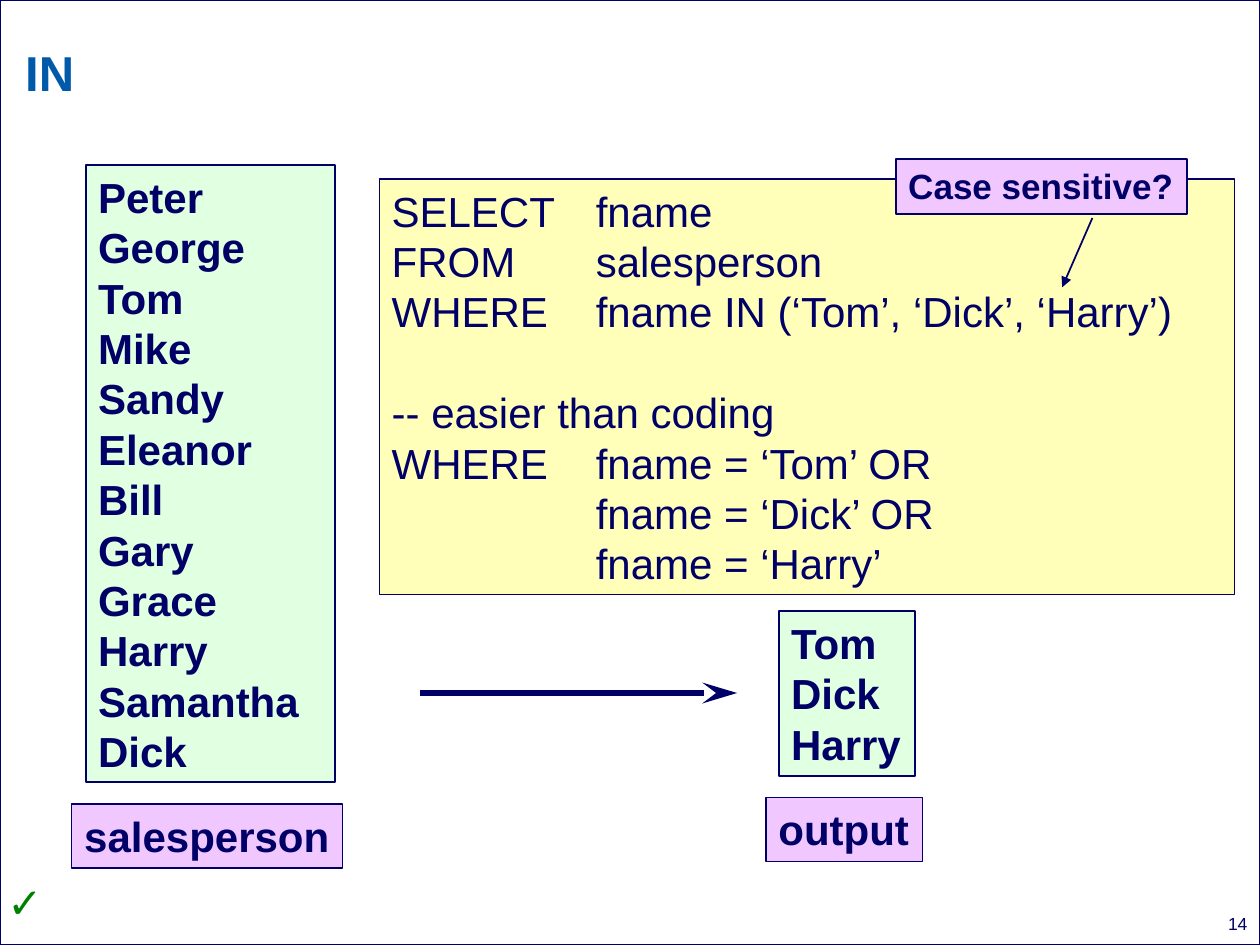
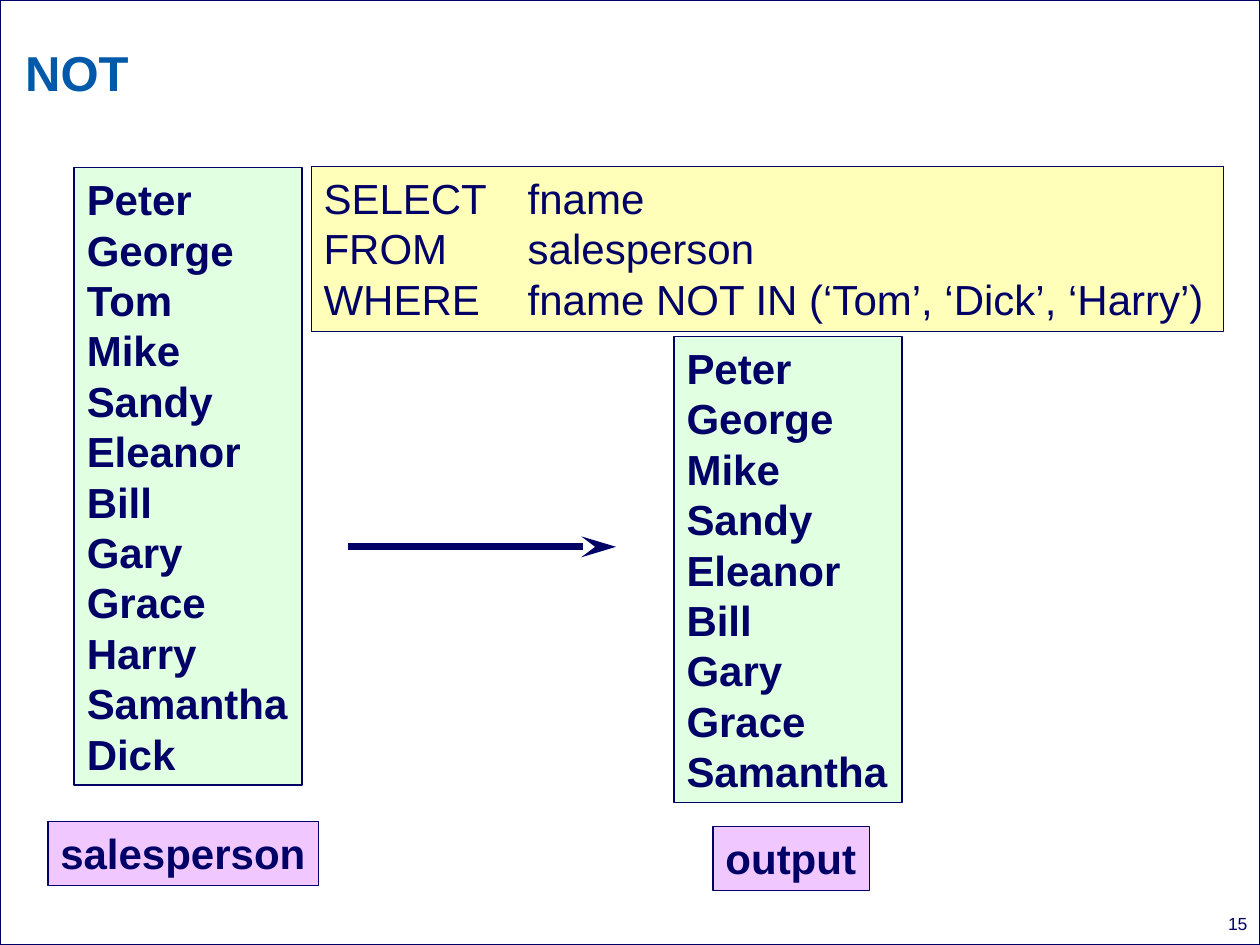
"""Two SQL slides that show filtering with IN and NOT IN."""
from dataclasses import dataclass

from pptx import Presentation
from pptx.dml.color import RGBColor
from pptx.enum.shapes import MSO_CONNECTOR as Connector, MSO_SHAPE as ShapeKind
from pptx.enum.text import MSO_ANCHOR as Anchor, PP_ALIGN as Align
from pptx.oxml.ns import qn
from pptx.util import Inches, Pt
from lxml.etree import SubElement

FONT = "Arial"
NAVY, TITLE_BLUE, TICK_GREEN = "000066", "005AA9", "008000"
LIST_GREEN, LABEL_PURPLE, QUERY_YELLOW = "E1FFE1", "F0C8FF", "FFFFB9"
TAB_STEP = 0.81
LINE_FACTOR = 1.2
NAMES = ["Peter", "George", "Tom", "Mike", "Sandy", "Eleanor",
         "Bill", "Gary", "Grace", "Harry", "Samantha", "Dick"]
CHOSEN = ["Tom", "Dick", "Harry"]
OTHERS = [name for name in NAMES if name not in CHOSEN]


@dataclass
class Box:
    """A bordered text box; gap_before is the line that has a line of space above it."""
    left: float
    top: float
    width: float
    height: float
    lines: list[str]
    fill: str | None
    border: float = 1
    size: int = 24
    bold: bool = True
    wrap: bool = False
    gap_before: int | None = None


@dataclass
class Arrow:
    """A straight arrow from start to end."""
    start: tuple[float, float]
    end: tuple[float, float]
    weight: float = 4
    head: str = "stealth"
    length: str = "lg"


@dataclass
class Page:
    """The content of one slide."""
    title: str
    number: int
    boxes: list[Box]
    arrows: list[Arrow]
    ticked: bool = False


def names_box(left: float, top: float, width: float, height: float,
              names: list[str], wrap: bool = False) -> Box:
    """Describe a green list of names."""
    return Box(left, top, width, height, names, LIST_GREEN, wrap=wrap)


def label_box(left: float, top: float, width: float, text: str) -> Box:
    """Describe a purple caption below a list."""
    return Box(left, top, width, 0.51, [text], LABEL_PURPLE, border=0.75)


def query_box(left: float, top: float, width: float, height: float,
              lines: list[str], **options) -> Box:
    """Describe a yellow box of SQL."""
    return Box(left, top, width, height, lines, QUERY_YELLOW,
               border=0.75, bold=False, **options)


PAGES = [
    Page("IN", 14, [
        label_box(6.08, 6.33, 1.24, "output"),
        names_box(0.68, 1.31, 1.98, 4.9, NAMES, wrap=True),
        names_box(6.18, 4.85, 1.08, 1.31, CHOSEN),
        label_box(0.57, 6.38, 2.15, "salesperson"),
        query_box(3.01, 1.42, 6.79, 3.3, [
            "SELECT \tfname",
            "FROM \tsalesperson",
            "WHERE\tfname IN (‘Tom’, ‘Dick’, ‘Harry’)",
            "-- easier than coding",
            "WHERE\tfname = ‘Tom’ OR",
            "\t\tfname = ‘Dick’ OR",
            "\t\tfname = ‘Harry’",
        ], wrap=True, gap_before=3),
        Box(7.11, 1.26, 2.31, 0.44, ["Case sensitive?"], LABEL_PURPLE, size=20),
    ], [
        Arrow((3.33, 5.5), (5.85, 5.5)),
        Arrow((8.67, 1.73), (8.43, 2.28), weight=1, head="triangle", length="med"),
    ], ticked=True),
    Page("NOT", 15, [
        label_box(5.66, 6.56, 1.24, "output"),
        names_box(0.59, 1.33, 1.81, 4.9, NAMES),
        label_box(0.38, 6.52, 2.15, "salesperson"),
        query_box(2.47, 1.32, 7.24, 1.31, [
            "SELECT \tfname",
            "FROM \tsalesperson",
            "WHERE \tfname NOT IN (‘Tom’, ‘Dick’, ‘Harry’)",
        ]),
        names_box(5.35, 2.67, 1.81, 3.7, OTHERS),
    ], [Arrow((2.76, 4.34), (4.89, 4.34))]),
]


def color(value: str) -> RGBColor:
    """Turn a hex string into a colour."""
    return RGBColor.from_string(value)


def set_frame(frame, insets=(0.1, 0.05, 0.1, 0.05), anchor=Anchor.TOP, wrap=False) -> None:
    """Set the margins, anchor and wrapping of a text frame."""
    (frame.margin_left, frame.margin_top,
     frame.margin_right, frame.margin_bottom) = map(Inches, insets)
    frame.vertical_anchor = anchor
    frame.word_wrap = wrap


def write(paragraph, text: str, size=24, ink=NAVY, bold=False, align=Align.LEFT) -> None:
    """Put formatted text in a paragraph."""
    run = paragraph.add_run()
    run.text = text
    run.font.name, run.font.size, run.font.bold = FONT, Pt(size), bold
    run.font.color.rgb = color(ink)
    paragraph.alignment = align


def add_tabs(paragraph) -> None:
    """Give a paragraph the two tab stops of the SQL columns."""
    tabs = SubElement(paragraph._p.get_or_add_pPr(), qn("a:tabLst"))
    for step in (1, 2):
        SubElement(tabs, qn("a:tab"), pos=str(Inches(TAB_STEP * step)), algn="l")


def draw_box(slide, box: Box) -> None:
    """Draw a bordered rectangle with its lines of text."""
    area = map(Inches, (box.left, box.top, box.width, box.height))
    shape = slide.shapes.add_shape(ShapeKind.RECTANGLE, *area)
    shape.shadow.inherit = False
    if box.fill:
        shape.fill.solid()
        shape.fill.fore_color.rgb = color(box.fill)
    else:
        shape.fill.background()
    shape.line.color.rgb = color(NAVY)
    shape.line.width = Pt(box.border)
    frame = shape.text_frame
    set_frame(frame, wrap=box.wrap)
    pitch = Pt(box.size * LINE_FACTOR)
    for index, line in enumerate(box.lines):
        paragraph = frame.add_paragraph() if index else frame.paragraphs[0]
        write(paragraph, line, size=box.size, bold=box.bold)
        paragraph.line_spacing = pitch
        if index == box.gap_before:
            paragraph.space_before = pitch
        if "\t" in line:
            add_tabs(paragraph)


def draw_arrow(slide, arrow: Arrow) -> None:
    """Draw a straight line with an arrowhead at its end."""
    points = map(Inches, (*arrow.start, *arrow.end))
    connector = slide.shapes.add_connector(Connector.STRAIGHT, *points)
    connector.line.color.rgb = color(NAVY)
    connector.line.width = Pt(arrow.weight)
    SubElement(connector.line._get_or_add_ln(), qn("a:tailEnd"),
               type=arrow.head, w="med", len=arrow.length)
    SubElement(connector._element.spPr, qn("a:effectLst"))


def draw_text(slide, area: tuple[float, ...], text: str, insets=(0.1, 0.05, 0.1, 0.05),
              wrap=False, **style) -> None:
    """Draw one line of plain text."""
    frame = slide.shapes.add_textbox(*map(Inches, area)).text_frame
    set_frame(frame, insets, wrap=wrap)
    write(frame.paragraphs[0], text, **style)


def draw_title(slide, text: str) -> None:
    """Place and format the title placeholder."""
    title = slide.shapes.title
    title.left, title.top, title.width, title.height = map(Inches, (0, 0, 10, 1.08))
    set_frame(title.text_frame, (0.2, 0.2, 1.97, 0.14), Anchor.MIDDLE, wrap=True)
    write(title.text_frame.paragraphs[0], text, size=28, ink=TITLE_BLUE, bold=True)


def draw_page(presentation, page: Page) -> None:
    """Add a slide with its shared frame, number and content."""
    slide = presentation.slides.add_slide(presentation.slide_layouts[5])
    draw_title(slide, page.title)
    draw_box(slide, Box(0, 0, 10, 7.5, [], None, border=0.75))
    draw_text(slide, (6.4, 7.2, 3.5, 0.17), str(page.number), (0, 0.05, 0, 0.05),
              wrap=True, size=10, align=Align.RIGHT)
    for box in page.boxes:
        draw_box(slide, box)
    for arrow in page.arrows:
        draw_arrow(slide, arrow)
    if page.ticked:
        draw_text(slide, (-0.04, 6.91, 0.43, 0.5), "✓", ink=TICK_GREEN, bold=True)


def main() -> None:
    """Build and save the presentation."""
    presentation = Presentation()
    presentation.slide_width, presentation.slide_height = Inches(10), Inches(7.5)
    for page in PAGES:
        draw_page(presentation, page)
    presentation.save("out.pptx")


if __name__ == "__main__":
    main()
